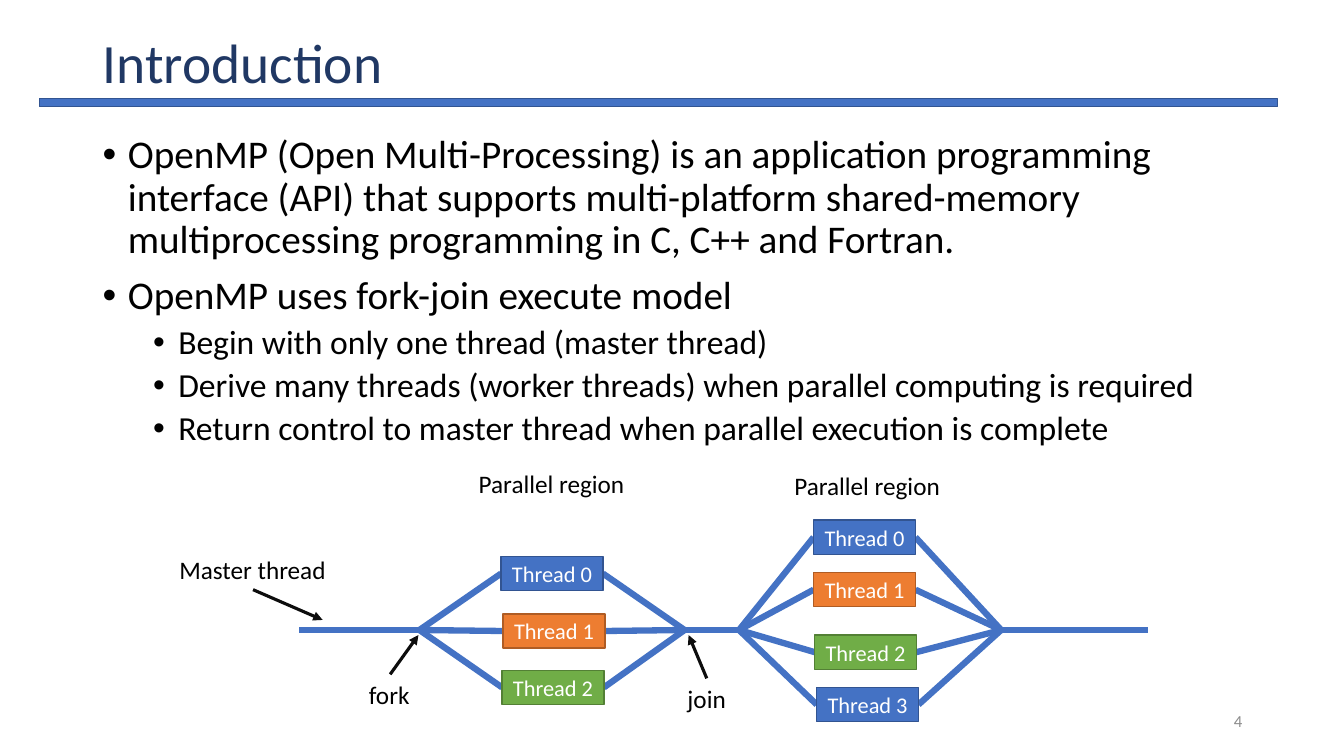
from pptx import Presentation
from pptx import util as u
from pptx.dml.color import RGBColor
from pptx.enum import shapes, text
from pptx.oxml.ns import qn
from lxml import etree

deck = Presentation()
deck.slide_width, deck.slide_height = u.Inches(13.33), u.Inches(7.5)
slide = deck.slides.add_slide(deck.slide_layouts[6])

# Grid of square cells: 75 rows to the slide's height
CELL = deck.slide_height / 75
rgb = RGBColor.from_string
BLUE, ORANGE, GREEN = ("4472C4", "325491"), ("ED7D31", "AF5C24"), ("70AD47", "538035")
LEFT, CENTER, RIGHT = text.PP_ALIGN.LEFT, text.PP_ALIGN.CENTER, text.PP_ALIGN.RIGHT
TOP, MIDDLE = text.MSO_ANCHOR.TOP, text.MSO_ANCHOR.MIDDLE


def write(paragraph, words, size, color, align=LEFT):
    paragraph.alignment = align
    run = paragraph.add_run()
    run.text = words
    run.font.name, run.font.size = "Calibri", u.Pt(size)
    run.font.color.rgb = rgb(color)


def connect(start, end, color, width):
    line = slide.shapes.add_connector(
        shapes.MSO_CONNECTOR.STRAIGHT, *(round(v * CELL) for v in (*start, *end)))
    line.line.color.rgb, line.line.width = rgb(color), u.Pt(width)
    etree.SubElement(line._element.spPr, qn("a:effectLst"))
    return line


# Bulleted text
bullets = [
    (0, "OpenMP (Open Multi-Processing) is an application programming interface (API) that "
        "supports multi-platform shared-memory multiprocessing programming in C, C++ and Fortran."),
    (0, "OpenMP uses fork-join execute model"),
    (1, "Begin with only one thread (master thread)"),
    (1, "Derive many threads (worker threads) when parallel computing is required"),
    (1, "Return control to master thread when parallel execution is complete"),
]
body = slide.shapes.add_textbox(
    *(round(v * CELL) for v in (9.2, 12.9, 115, 32.2))).text_frame
body.word_wrap = True
for number, (level, words) in enumerate(bullets):
    item = body.add_paragraph() if number else body.paragraphs[0]
    write(item, words, 28 - 4 * level, "000000")
    item.level, item.line_spacing = level, 0.9
    item.space_before = u.Pt(10 - 5 * level)
    props = item._p.get_or_add_pPr()
    props.set("marL", str(u.Inches(0.25 + 0.5 * level)))
    props.set("indent", str(u.Inches(-0.25)))
    etree.SubElement(props, qn("a:buFont"), typeface="Arial")
    etree.SubElement(props, qn("a:buChar"), char="•")

# Master thread: the straight stretches outside the parallel regions
AXIS = 62.5
for start, end in [(29.7, 42.3), (67.9, 73.6), (98.8, 113.9)]:
    connect((start, AXIS), (end, AXIS), BLUE[0], 4.5)

# Parallel regions: fork, join, left and top of each thread
THREAD_W, THREAD_H = 10.1, 3.4
regions = [
    (41.6, 67.9, [(49.7, 55.2), (49.9, 60.9), (49.8, 66.5)]),
    (73.3, 99.3, [(80.7, 51.6), (80.7, 56.8), (80.8, 63), (81, 68.2)]),
]
title_bar = ("", 3.9, 9.8, 122.8, 0.8, BLUE)
bars = [title_bar]
for fork, join, threads in regions:
    for number, (left, top) in enumerate(threads):
        middle = top + THREAD_H / 2
        connect((fork, AXIS), (left, middle), BLUE[0], 4.5)
        connect((join, AXIS), (left + THREAD_W, middle), BLUE[0], 4.5)
        palette = (BLUE, ORANGE, GREEN)[number % 3]
        bars.append((f"Thread {number}", left, top, THREAD_W, THREAD_H, palette))

# Title bar and thread boxes
for words, *place, (fill, outline) in bars:
    bar = slide.shapes.add_shape(
        shapes.MSO_SHAPE.RECTANGLE, *(round(v * CELL) for v in place))
    bar.shadow.inherit = False
    bar.fill.solid()
    bar.fill.fore_color.rgb = rgb(fill)
    bar.line.color.rgb, bar.line.width = rgb(outline), u.Pt(1)
    if words:
        bar.text_frame.vertical_anchor = MIDDLE
        write(bar.text_frame.paragraphs[0], words, 16, "FFFFFF", CENTER)

# Title, page number and diagram labels
labels = [
    ("Introduction", 9.2, 4, 115, 5, 39.6, "203864", MIDDLE, LEFT, True),
    ("4", 94.2, 69.5, 30, 4, 12, "8C8C8C", MIDDLE, RIGHT, True),
]
for words, left, top, width in [
    ("Parallel region", 46.5, 46, 16.6),
    ("Parallel region", 77.8, 46.2, 16.6),
    ("Master thread", 16.8, 54.5, 16.7),
    ("fork", 35.6, 66.9, 6.1),
    ("join", 67.2, 67.3, 5.9),
]:
    labels.append((words, left, top, width, 4, 18, "000000", TOP, LEFT, False))
for words, *place, size, color, anchor, align, wrap in labels:
    frame = slide.shapes.add_textbox(*(round(v * CELL) for v in place)).text_frame
    frame.word_wrap, frame.vertical_anchor = wrap, anchor
    write(frame.paragraphs[0], words, size, color, align)
    if words == "Introduction":
        frame.paragraphs[0].line_spacing = 0.9

# Arrows from the labels to the master thread, the fork and the join
for start, end in [((25.1, 58.5), (32, 61.5)),
                   ((38.7, 66.9), (41.5, 63)),
                   ((70.1, 67.3), (68.3, 63))]:
    arrow = connect(start, end, "0D0D0D", 2.25)
    etree.SubElement(arrow.line._get_or_add_ln(), qn("a:tailEnd"), type="triangle")

deck.save("out.pptx")
